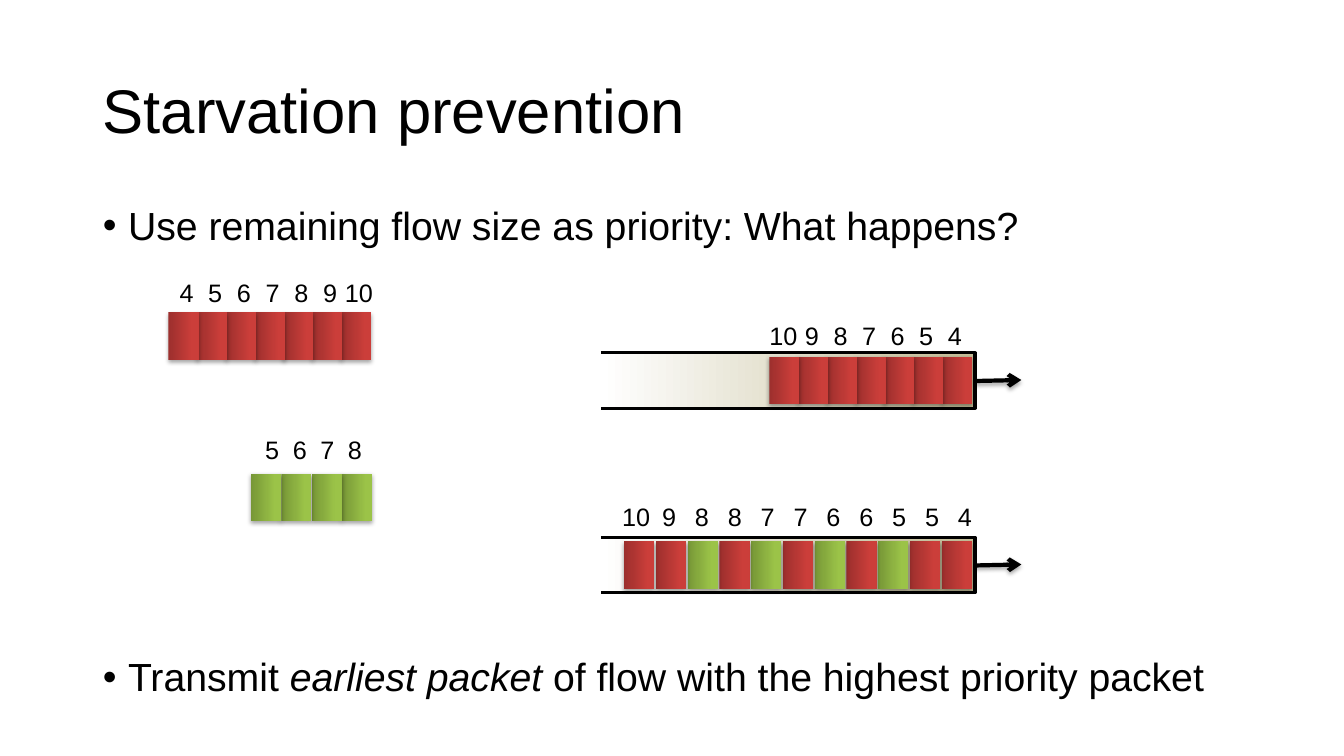
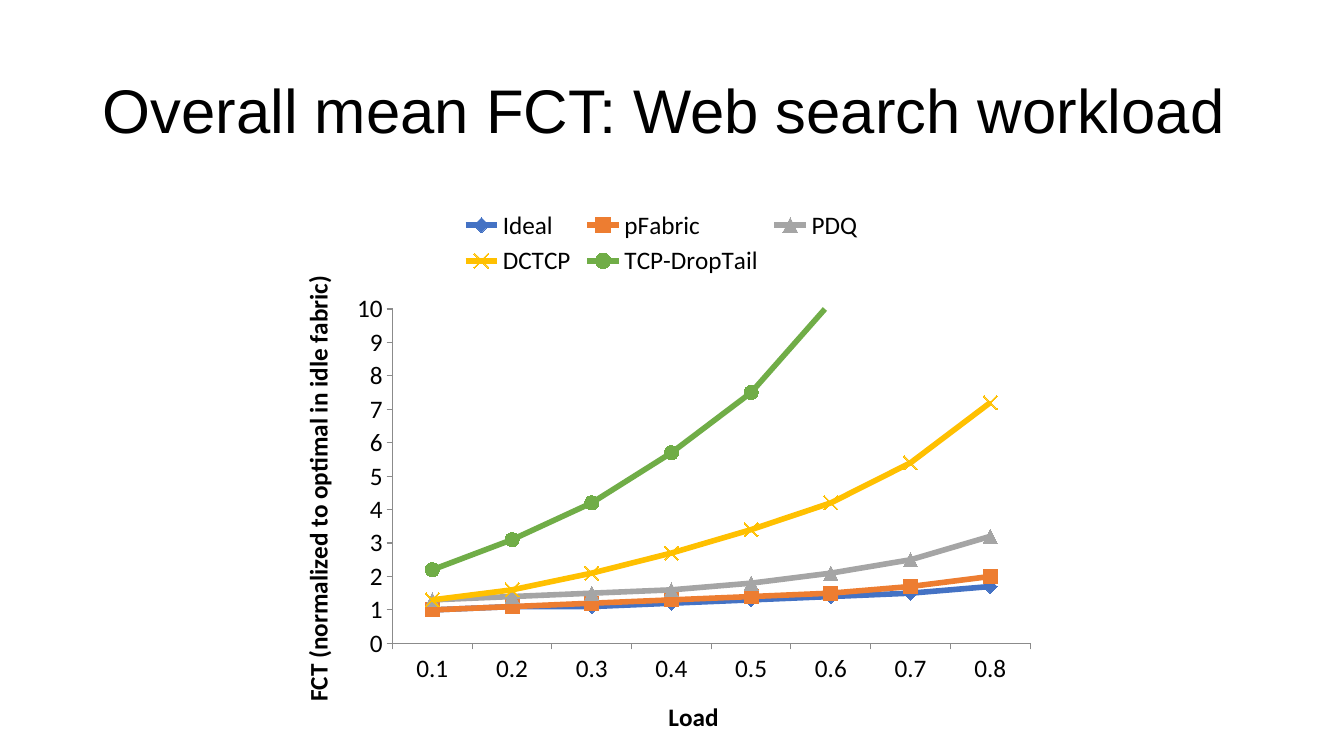
import pptx
import pptx.chart.data
import pptx.dml.color
import pptx.enum.chart
import pptx.enum.shapes
import pptx.enum.text
import pptx.oxml
import pptx.oxml.ns
import pptx.util

Inches = pptx.util.Inches
Pt = pptx.util.Pt

BLACK, AXIS_GREY = "000000", "8B8B8B"
RED = ("9C2F2D", "CB3E3A")
GREEN = ("779737", "9BC348")
QUEUE_FADE = ("FFFFFF", "C4BD97")
TEXT_FONT, CHART_FONT = "Arial", "Calibri"
PACKET_WIDTH, PACKET_HEIGHT, LABEL_WIDTH = 0.3, 0.47, 0.5
LEFT = pptx.enum.text.PP_ALIGN.LEFT
CENTER = pptx.enum.text.PP_ALIGN.CENTER
DRAWING_NS = pptx.oxml.ns.nsdecls("a")


# Shared helpers
def color(value):
    return pptx.dml.color.RGBColor.from_string(value)


def write(para, text, size=18, font=TEXT_FONT, fill=BLACK, italic=None,
          bold=None, align=None, spacing=None):
    """Add one formatted span to a paragraph."""
    span = para.add_run()
    span.text = text
    span.font.size, span.font.name = Pt(size), font
    span.font.italic, span.font.bold = italic, bold
    span.font.color.rgb = color(fill)
    if align is not None:
        para.alignment = align
    if spacing is not None:
        para.line_spacing = spacing


def place(shape, left, top, width, height):
    shape.left, shape.top = Inches(left), Inches(top)
    shape.width, shape.height = Inches(width), Inches(height)


def fade(shape, colors, end=1.0):
    """Fill from left to right, reaching the second colour at end."""
    shape.fill.gradient()
    shape.fill.gradient_angle = 0
    for stop, value, position in zip(shape.fill.gradient_stops, colors, (0, end)):
        stop.color.rgb = color(value)
        stop.position = position


def add_shadow(shape):
    properties = shape.element.spPr
    for effects in properties.findall(pptx.oxml.ns.qn("a:effectLst")):
        properties.remove(effects)
    properties.append(pptx.oxml.parse_xml(
        f'<a:effectLst {DRAWING_NS}><a:outerShdw blurRad="39370" dist="22860" '
        'dir="5400000" rotWithShape="0"><a:srgbClr val="000000">'
        '<a:alpha val="35000"/></a:srgbClr></a:outerShdw></a:effectLst>'))


def add_page(deck, layout, title, width=11.5):
    page = deck.slides.add_slide(deck.slide_layouts[layout])
    box = page.shapes.title
    place(box, 0.92, 0.4, width, 1.45)
    frame = box.text_frame
    frame.auto_size = pptx.enum.text.MSO_AUTO_SIZE.NONE
    frame.vertical_anchor = pptx.enum.text.MSO_ANCHOR.MIDDLE
    write(frame.paragraphs[0], title, size=44, align=LEFT, spacing=0.9)
    return page


# Starvation slide
def add_bullets(page, bullets, gap):
    box = page.placeholders[1]
    place(box, 0.92, 2, 11.5, 5.28)
    frame = box.text_frame
    frame.auto_size = pptx.enum.text.MSO_AUTO_SIZE.NONE
    for index, spans in enumerate(bullets):
        para = frame.add_paragraph() if index else frame.paragraphs[0]
        properties = para._p.get_or_add_pPr()
        properties.set("marL", str(Inches(0.25)))
        properties.set("indent", str(-Inches(0.25)))
        properties.append(pptx.oxml.parse_xml(f'<a:buChar {DRAWING_NS} char="•"/>'))
        para.space_before = Pt(gap if index else 0)
        for text, italic in spans:
            write(para, text, size=28, italic=italic, spacing=0.9)


def add_packet(page, left, top, colors):
    packet = page.shapes.add_shape(
        pptx.enum.shapes.MSO_SHAPE.RECTANGLE, Inches(left), Inches(top),
        Inches(PACKET_WIDTH), Inches(PACKET_HEIGHT))
    fade(packet, colors, end=0.8)
    packet.line.fill.background()
    add_shadow(packet)


def add_label(page, center, top, text):
    box = page.shapes.add_textbox(
        Inches(center - LABEL_WIDTH / 2), Inches(top), Inches(LABEL_WIDTH), Inches(0.4))
    box.text_frame.word_wrap = True
    box.text_frame.margin_left = box.text_frame.margin_right = 0
    write(box.text_frame.paragraphs[0], text, align=CENTER)


def add_flow(page, packets, top, lefts, label_top, centers):
    """Spread packets and their sizes evenly between first and last positions."""
    steps = len(packets) - 1
    for index in reversed(range(len(packets))):
        size, colors = packets[index]
        share = index / steps
        add_packet(page, lefts[0] + share * (lefts[1] - lefts[0]), top, colors)
        add_label(page, centers[0] + share * (centers[1] - centers[0]),
                  label_top, str(size))


def add_queue(page, left, top, width=3.71, height=0.55):
    """Draw a queue open on the left, with an arrow leaving on the right."""
    right, bottom = left + width, top + height
    outline = page.shapes.build_freeform(Inches(left), Inches(top))
    outline.add_line_segments(
        [(Inches(x), Inches(y)) for x, y in
         ((right, top), (right, bottom), (left, bottom))], close=False)
    queue = outline.convert_to_shape()
    queue.shadow.inherit = False
    fade(queue, QUEUE_FADE)
    queue.line.color.rgb = color(BLACK)
    queue.line.width = Pt(2.25)

    arrow = page.shapes.add_connector(
        pptx.enum.shapes.MSO_CONNECTOR.STRAIGHT, Inches(right), Inches(top + 0.28),
        Inches(right + 0.46), Inches(top + 0.27))
    arrow.line.color.rgb = color(BLACK)
    arrow.line.width = Pt(3)
    arrow.element.spPr.find(pptx.oxml.ns.qn("a:ln")).append(
        pptx.oxml.parse_xml(f'<a:tailEnd {DRAWING_NS} type="arrow"/>'))
    add_shadow(arrow)


def add_starvation_page(deck):
    page = add_page(deck, 1, "Starvation prevention")
    add_bullets(page, [
        [("Use remaining flow size as priority: What happens?", None)],
        [("Transmit ", None), ("earliest packet ", True),
         ("of flow with the highest priority packet", None)],
    ], gap=292)

    # Arriving flows
    red_flow = [(size, RED) for size in range(4, 11)]
    green_flow = [(size, GREEN) for size in range(5, 9)]
    add_flow(page, red_flow, 3.1, (1.67, 3.38), 2.7, (1.85, 3.56))
    add_flow(page, green_flow, 4.7, (2.49, 3.39), 4.26, (2.7, 3.52))

    # Queues before and after the second flow arrives
    add_queue(page, 5.96, 3.5)
    add_flow(page, red_flow[::-1], 3.54, (7.63, 9.34), 3.13, (7.77, 9.47))
    add_queue(page, 5.96, 5.33)
    merged = sorted(red_flow + green_flow, key=lambda packet: -packet[0])
    # Where sizes tie, the green packet waits behind the red one
    merged.sort(key=lambda packet: (-packet[0], packet[1] == RED))
    add_flow(page, merged, 5.37, (6.19, 9.34), 4.92, (6.31, 9.57))


# Chart slide
def style_axis(axis, title):
    axis.has_major_gridlines = False
    axis.major_tick_mark = pptx.enum.chart.XL_TICK_MARK.OUTSIDE
    axis.minor_tick_mark = pptx.enum.chart.XL_TICK_MARK.NONE
    axis.format.line.color.rgb = color(AXIS_GREY)
    axis.format.line.width = Pt(0.75)
    write(axis.axis_title.text_frame.paragraphs[0], title, font=CHART_FONT, bold=True)


def set_plot_layout(chart, **shares):
    """Fix the inner plot area as shares of the chart."""
    area = chart.element.chart.plotArea
    for layout in area.findall(pptx.oxml.ns.qn("c:layout")):
        area.remove(layout)
    sizes = "".join(f'<c:{name} val="{value}"/>' for name, value in shares.items())
    area.insert(0, pptx.oxml.parse_xml(
        f'<c:layout {pptx.oxml.ns.nsdecls("c")}><c:manualLayout>'
        '<c:layoutTarget val="inner"/><c:xMode val="edge"/><c:yMode val="edge"/>'
        f'{sizes}</c:manualLayout></c:layout>'))


def add_load_chart(page, left, top, width, height):
    marker = pptx.enum.chart.XL_MARKER_STYLE
    series_table = [
        ("Ideal", "4472C4", marker.DIAMOND, (1, 1.1, 1.1, 1.2, 1.3, 1.4, 1.5, 1.7)),
        ("pFabric", "ED7D31", marker.SQUARE, (1, 1.1, 1.2, 1.3, 1.4, 1.5, 1.7, 2)),
        ("PDQ", "A5A5A5", marker.TRIANGLE, (1.3, 1.4, 1.5, 1.6, 1.8, 2.1, 2.5, 3.2)),
        ("DCTCP", "FFC000", marker.X, (1.3, 1.6, 2.1, 2.7, 3.4, 4.2, 5.4, 7.2)),
        ("TCP-DropTail", "70AD47", marker.CIRCLE,
         (2.2, 3.1, 4.2, 5.7, 7.5, 10.2, 14.4, 20.8)),
    ]
    data = pptx.chart.data.CategoryChartData()
    data.categories = [f"0.{tenth}" for tenth in range(1, 9)]
    for name, _, _, values in series_table:
        data.add_series(name, values)
    chart = page.shapes.add_chart(
        pptx.enum.chart.XL_CHART_TYPE.LINE_MARKERS, Inches(left), Inches(top),
        Inches(width), Inches(height), data).chart
    chart.has_title = False
    chart.font.size, chart.font.name = Pt(18), CHART_FONT
    chart.font.color.rgb = color(BLACK)
    chart.has_legend = True
    chart.legend.position = pptx.enum.chart.XL_LEGEND_POSITION.TOP
    chart.legend.include_in_layout = False

    # Series
    plot = chart.plots[0]
    plot.vary_by_categories = False
    for series, (_, value, style, _) in zip(plot.series, series_table):
        series.smooth = False
        series.format.line.color.rgb = color(value)
        series.format.line.width = Pt(4)
        series.marker.style, series.marker.size = style, 10
        series.marker.format.fill.solid()
        series.marker.format.fill.fore_color.rgb = color(value)
        series.marker.format.line.color.rgb = color(value)

    # Axes
    style_axis(chart.category_axis, "Load")
    style_axis(chart.value_axis, "FCT (normalized to optimal in idle fabric)")
    chart.value_axis.minimum_scale = 0
    chart.value_axis.maximum_scale = 10
    chart.value_axis.major_unit = 1
    set_plot_layout(chart, x=0.15, y=0.2, w=0.83, h=0.6)


def add_chart_page(deck):
    page = add_page(deck, 5, "Overall mean FCT: Web search workload", width=11.89)
    add_load_chart(page, 2.75, 1.96, 7.62, 5.53)


def main():
    deck = pptx.Presentation()
    deck.slide_width, deck.slide_height = Inches(13.33), Inches(7.5)
    add_starvation_page(deck)
    add_chart_page(deck)
    deck.save("out.pptx")


if __name__ == "__main__":
    main()
